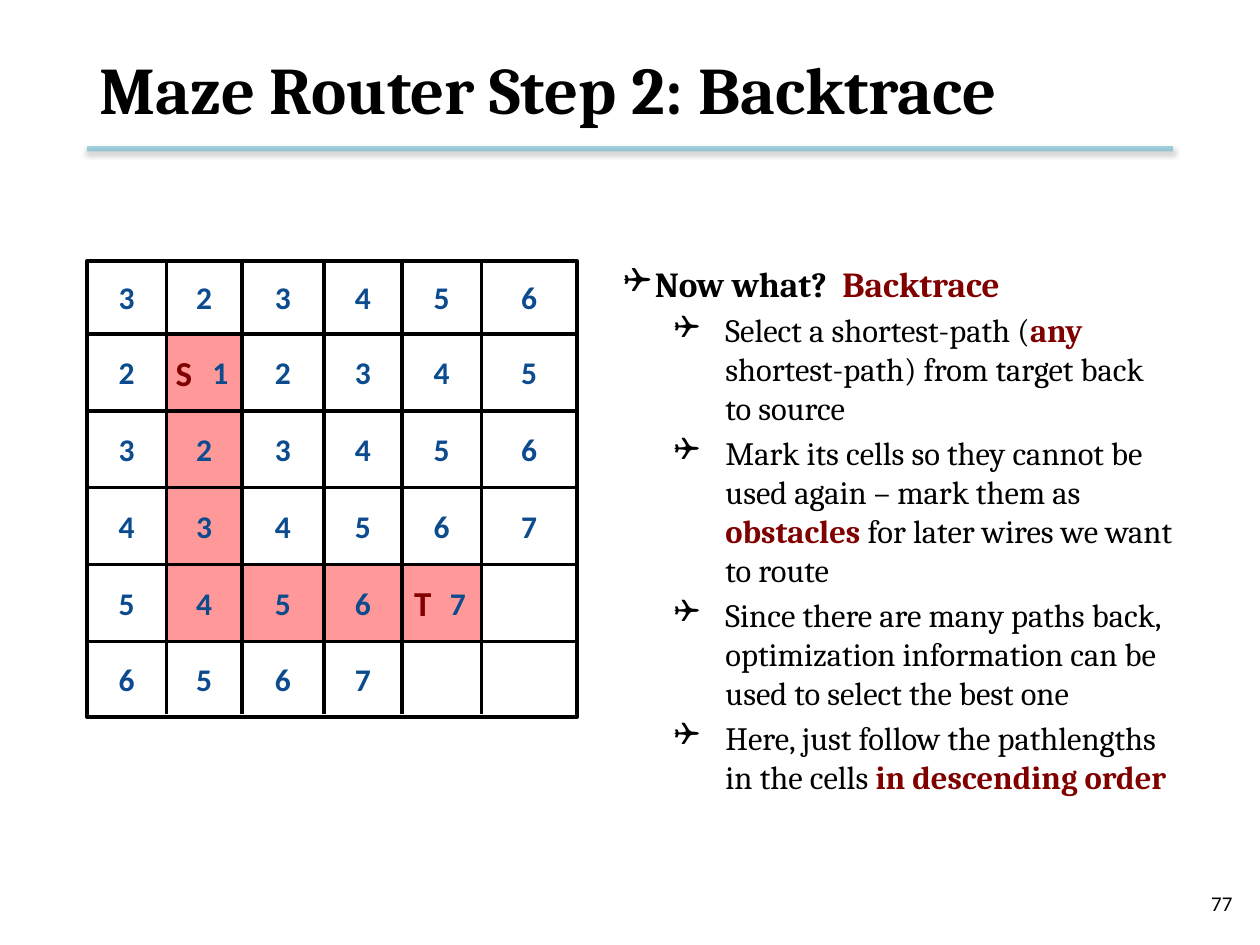
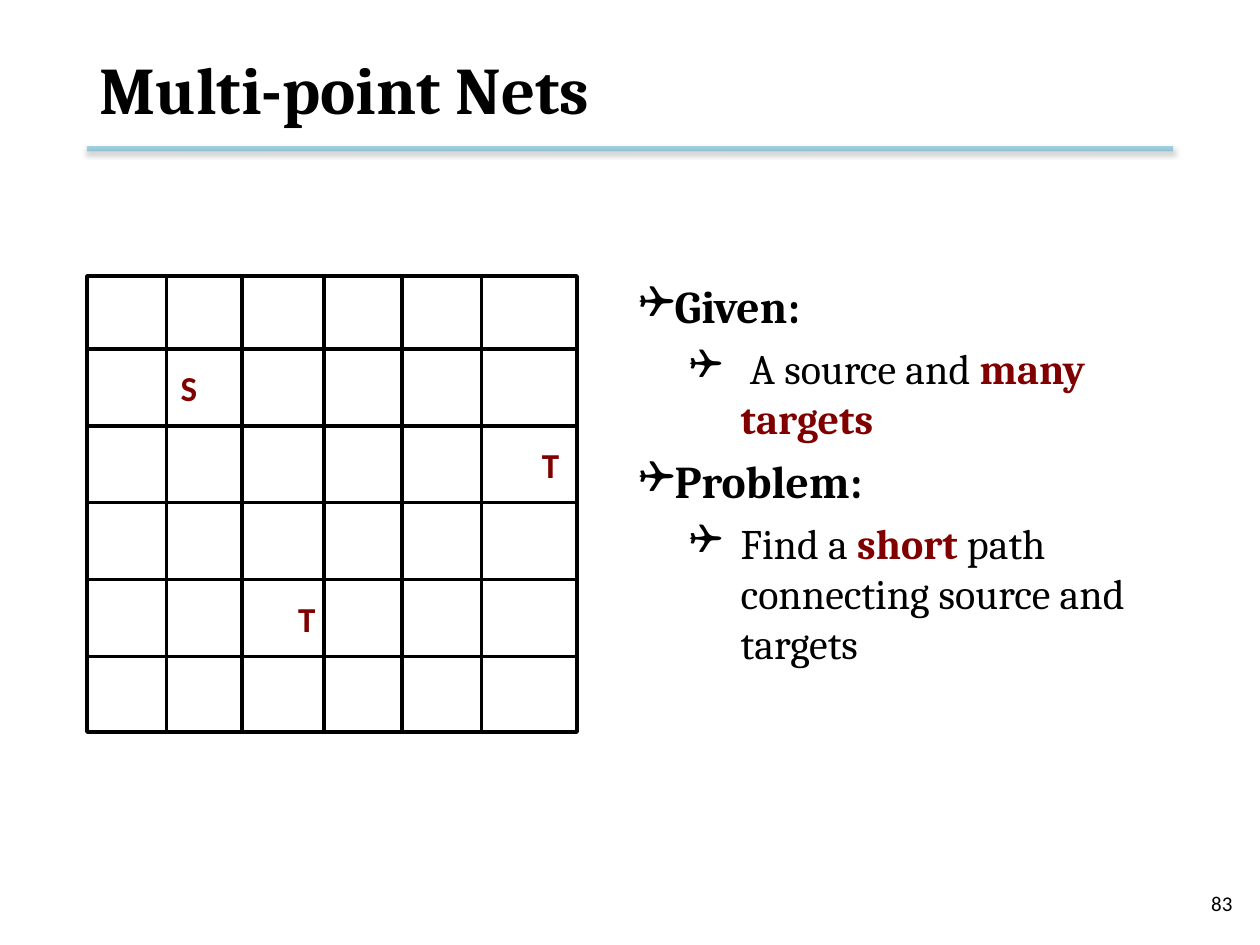
from collections import namedtuple

from lxml import etree
from pptx import Presentation
from pptx import util as u
from pptx.dml.color import RGBColor
from pptx.enum import shapes, text
from pptx.oxml import parse_xml
from pptx.oxml.ns import nsdecls, qn

Box = namedtuple("Box", "left top width height")

SLIDE_WIDTH, SLIDE_HEIGHT = u.Inches(10), u.Inches(7.5)
UNIT = SLIDE_WIDTH / 100
HEADING_FONT, LABEL_FONT = "Cambria", "Calibri"
BLACK, MAROON, NAVY, PINK, TEAL = "000000", "800000", "0B4B8E", "FF9999", "4BACC6"

HEADER = Box(6.9, 1.7, 86.2, 10.6)
FOOTER = Box(75.5, 69.7, 23.3, 4)
COLUMN_EDGES = [0, 6.3, 12.3, 18.8, 25, 31.3, 38.9]
ROW_EDGES = [0, *(5.8 + 6.1 * row for row in range(5)), 36.2]
MAZE_WIDTH, MAZE_HEIGHT = COLUMN_EDGES[-1], ROW_EDGES[-1]
LABEL_SIDE = 4
SOURCE = (1, 1)
LONGEST_PATH = 7
BULLET_INDENTS = [(0.25, -0.45), (0.81, -0.41)]


def color(hex_string):
    """Turn a hex string into a colour."""
    return RGBColor.from_string(hex_string)


def grid(*values):
    """Turn grid units into slide lengths."""
    return [round(value * UNIT) for value in values]


def style_font(font, name, size, hex_string, bold=True):
    """Set face, size, colour and weight of a font."""
    font.name, font.size, font.bold = name, u.Pt(size), bold
    font.color.rgb = color(hex_string)


def add_line(slide, start, end, hex_string=BLACK, width=2):
    """Draw a straight line without a shadow."""
    line = slide.shapes.add_connector(shapes.MSO_CONNECTOR.STRAIGHT, *grid(*start, *end))
    line.line.color.rgb = color(hex_string)
    line.line.width = u.Pt(width)
    etree.SubElement(line._element.spPr, qn("a:effectLst"))
    return line


def add_rectangle(slide, box, fill=None, outline=None):
    """Draw a rectangle that is filled, outlined or both."""
    rectangle = slide.shapes.add_shape(shapes.MSO_SHAPE.RECTANGLE, *grid(*box))
    rectangle.shadow.inherit = False
    if fill:
        rectangle.fill.solid()
        rectangle.fill.fore_color.rgb = color(fill)
    else:
        rectangle.fill.background()
    if outline:
        rectangle.line.color.rgb = color(outline)
        rectangle.line.width = u.Pt(2)
    else:
        rectangle.line.fill.background()


def add_label(slide, box, label, size, hex_string, alignment):
    """Write one vertically centred line of text."""
    frame = slide.shapes.add_textbox(*grid(*box)).text_frame
    frame.vertical_anchor = text.MSO_ANCHOR.MIDDLE
    paragraph = frame.paragraphs[0]
    paragraph.text, paragraph.alignment = label, alignment
    style_font(paragraph.font, LABEL_FONT, size, hex_string, bold=size > 12)


def add_header(slide, box, title):
    """Place the title above a translucent, shadowed rule."""
    bottom = box.top + box.height - 0.5
    rule = add_line(slide, (box.left, bottom), (box.left + box.width, bottom), TEAL, 3)
    rule_color = rule._element.spPr.find(".//" + qn("a:srgbClr"))
    etree.SubElement(rule_color, qn("a:alpha"), val="50000")
    rule._element.spPr.find(qn("a:effectLst")).append(parse_xml(
        f'<a:outerShdw {nsdecls("a")} blurRad="{u.Pt(3.1)}" dist="{u.Pt(1.6)}" dir="5400000" '
        'rotWithShape="0"><a:srgbClr val="000000"><a:alpha val="38000"/></a:srgbClr></a:outerShdw>'))
    placeholder = slide.shapes.title
    placeholder.left, placeholder.top, placeholder.width, placeholder.height = grid(*box)
    frame = placeholder.text_frame
    frame.text, frame.vertical_anchor = title, text.MSO_ANCHOR.MIDDLE
    paragraph = frame.paragraphs[0]
    paragraph.alignment = text.PP_ALIGN.LEFT
    style_font(paragraph.font, HEADING_FONT, 38, BLACK)


def add_maze(slide, box):
    """Draw the outlined routing grid."""
    add_rectangle(slide, box, outline=BLACK)
    right, bottom = box.left + box.width, box.top + box.height
    for edge in ROW_EDGES[1:-1]:
        add_line(slide, (box.left + 0.2, box.top + edge), (right - 0.2, box.top + edge))
    for edge in COLUMN_EDGES[1:-1]:
        add_line(slide, (box.left + edge, box.top), (box.left + edge, bottom - 0.2))


def fill_cells(slide, box, first, last):
    """Shade the block of cells between two corner cells."""
    left, top = COLUMN_EDGES[first[0]], ROW_EDGES[first[1]]
    right, bottom = COLUMN_EDGES[last[0] + 1], ROW_EDGES[last[1] + 1]
    add_rectangle(slide, Box(box.left + left, box.top + top, right - left, bottom - top), PINK)


def label_cell(slide, box, cell, label, shift=0, size=18, hex_string=NAVY):
    """Write a label in a cell, shifted sideways from its middle."""
    column, row = cell
    middle = sum(COLUMN_EDGES[column:column + 2]) / 2 + shift
    center = sum(ROW_EDGES[row:row + 2]) / 2
    label_box = Box(box.left + middle - LABEL_SIDE / 2, box.top + center - LABEL_SIDE / 2,
                    LABEL_SIDE, LABEL_SIDE)
    add_label(slide, label_box, label, size, hex_string, text.PP_ALIGN.CENTER)


def add_terminals(slide, box, terminals):
    """Mark source and target cells with their letters."""
    for cell, letter, shift in terminals:
        label_cell(slide, box, cell, letter, shift, 20, MAROON)


def add_pathlengths(slide, box, terminal_cells):
    """Number every reached cell with its distance from the source."""
    for row in range(len(ROW_EDGES) - 1):
        for column in range(len(COLUMN_EDGES) - 1):
            length = abs(column - SOURCE[0]) + abs(row - SOURCE[1]) + 1
            if length <= LONGEST_PATH:
                shift = 1.3 if (column, row) in terminal_cells else 0
                label_cell(slide, box, (column, row), str(length), shift)


def add_bullets(slide, box, items, sizes, space):
    """Write two-level bullets; every second part of an item is emphasised."""
    frame = slide.shapes.add_textbox(*grid(*box)).text_frame
    frame.word_wrap = True
    for index, (level, *parts) in enumerate(items):
        paragraph = frame.add_paragraph() if index else frame.paragraphs[0]
        paragraph.level = level
        if index:
            paragraph.space_before = u.Pt(space)
        margin, indent = BULLET_INDENTS[level]
        properties = paragraph._p.get_or_add_pPr()
        properties.set("marL", str(u.Inches(margin)))
        properties.set("indent", str(u.Inches(indent)))
        etree.SubElement(properties, qn("a:buFont"), typeface="Wingdings")
        etree.SubElement(properties, qn("a:buChar"), char="❑")
        for position, part in enumerate(parts):
            run = paragraph.add_run()
            run.text = part
            emphasis = position % 2 == 1
            style_font(run.font, HEADING_FONT, sizes[level],
                       MAROON if emphasis else BLACK, emphasis or level == 0)


def start_slide(presentation, title, number):
    """Add a slide with the shared header and page number."""
    slide = presentation.slides.add_slide(presentation.slide_layouts[5])
    add_header(slide, HEADER, title)
    add_label(slide, FOOTER, number, 12, BLACK, text.PP_ALIGN.RIGHT)
    return slide


def build_backtrace(presentation):
    """Build the slide that traces the path from target to source."""
    slide = start_slide(presentation, "Maze Router Step 2: Backtrace", "77")
    maze = Box(6.9, 20.7, MAZE_WIDTH, MAZE_HEIGHT)
    target = (4, 4)
    fill_cells(slide, maze, SOURCE, (1, 4))
    fill_cells(slide, maze, (1, 4), target)
    add_bullets(slide, Box(48.5, 20.3, 45.6, 39.3), [
        (0, "Now what?  ", "Backtrace"),
        (1, "Select a shortest-path (", "any ", "shortest-path) from target back to source"),
        (1, "Mark its cells so they cannot be used again – mark them as ", "obstacles ",
         "for later wires we want to route"),
        (1, "Since there are many paths back, optimization information can be used "
            "to select the best one"),
        (1, "Here, just follow the pathlengths in the cells ", "in descending order"),
    ], (20.1, 18.6), 3.3)
    add_maze(slide, maze)
    add_terminals(slide, maze, [(SOURCE, "S", -1.6), (target, "T", -1.5)])
    add_pathlengths(slide, maze, (SOURCE, target))


def build_multi_point(presentation):
    """Build the slide that states the problem with many targets."""
    slide = start_slide(presentation, "Multi-point Nets", "83")
    maze = Box(6.9, 21.9, MAZE_WIDTH, MAZE_HEIGHT)
    add_maze(slide, maze)
    add_bullets(slide, Box(49.7, 21.6, 47.8, 41.9), [
        (0, "Given:"),
        (1, " A source and ", "many targets"),
        (0, "Problem:"),
        (1, "Find a ", "short ", "path connecting source and targets"),
    ], (26, 24), 5.5)
    add_terminals(slide, maze, [(SOURCE, "S", -1.2), ((2, 4), "T", 1.9), ((5, 2), "T", 1.7)])


def main():
    """Build and save the presentation."""
    presentation = Presentation()
    presentation.slide_width, presentation.slide_height = SLIDE_WIDTH, SLIDE_HEIGHT
    build_backtrace(presentation)
    build_multi_point(presentation)
    presentation.save("out.pptx")


if __name__ == "__main__":
    main()
